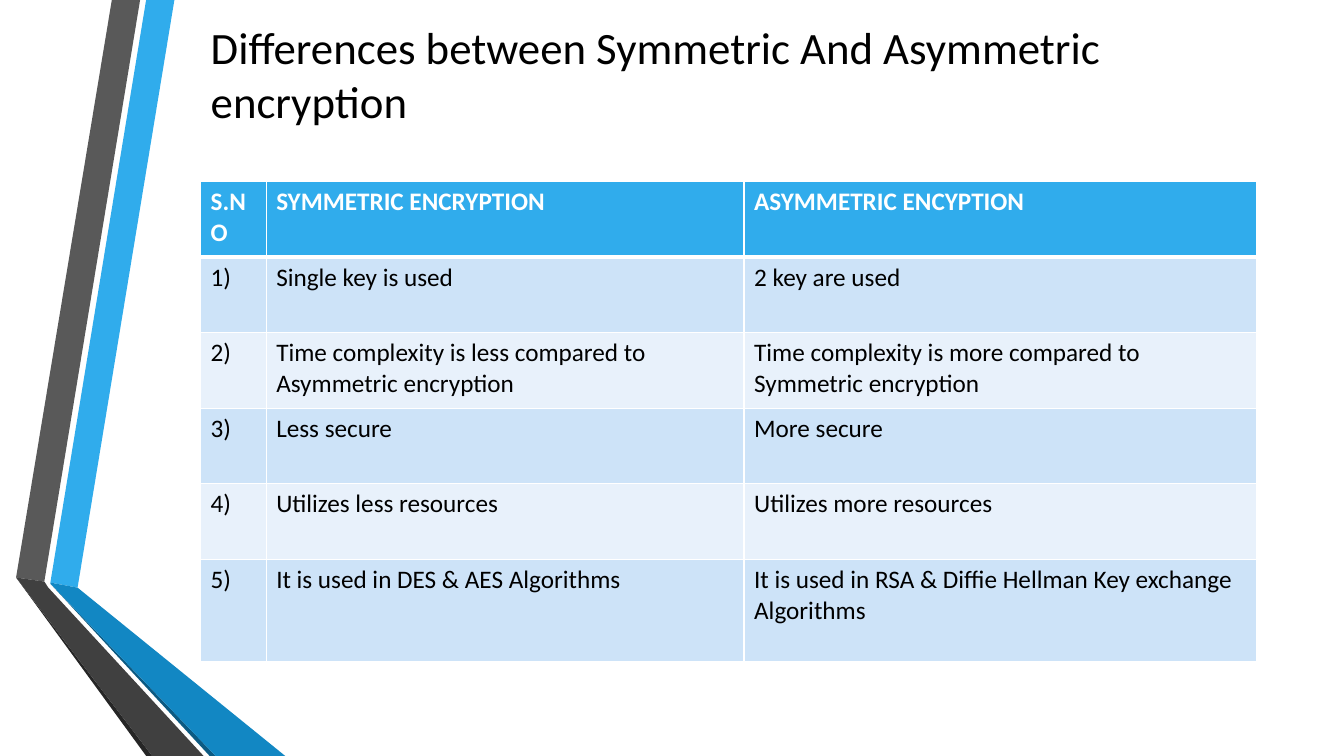
from typing import NamedTuple

from lxml import etree
from pptx import Presentation
from pptx.dml.color import RGBColor
from pptx.enum.text import MSO_ANCHOR, MSO_AUTO_SIZE, PP_ALIGN
from pptx.oxml.ns import qn
from pptx.util import Emu, Pt

TOP, LEFT = MSO_ANCHOR.TOP, PP_ALIGN.LEFT
FIT_SHAPE = MSO_AUTO_SIZE.SHAPE_TO_FIT_TEXT

EMU_PER_PX = 9144  # 100 px to the inch
FONT = "Calibri"
TITLE_ONLY = 5

BLACK = RGBColor(0x00, 0x00, 0x00)
WHITE = RGBColor(0xFF, 0xFF, 0xFF)
SKY = RGBColor(0x30, 0xAC, 0xEC)
BLUE = RGBColor(0x12, 0x87, 0xC3)
NAVY = RGBColor(0x0C, 0x5A, 0x82)
GREY = RGBColor(0x59, 0x59, 0x59)
CHARCOAL = RGBColor(0x40, 0x40, 0x40)
SOOT = RGBColor(0x26, 0x26, 0x26)
BAND_DARK = RGBColor(0xCD, 0xE3, 0xF8)
BAND_LIGHT = RGBColor(0xE8, 0xF1, 0xFB)


class Ribbon(NamedTuple):
    color: RGBColor
    corners: list[tuple[int, int]]


RIBBONS = [
    Ribbon(SKY, [(50, 578), (77, 583), (173, 0), (145, 0)]),
    Ribbon(GREY, [(139, 0), (111, 0), (16, 573), (44, 577)]),
    Ribbon(SOOT, [(16, 573), (145, 750), (151, 750)]),
    Ribbon(NAVY, [(50, 579), (208, 750), (214, 750)]),
    Ribbon(BLUE, [(50, 578), (50, 579), (214, 750), (283, 750), (77, 583)]),
    Ribbon(CHARCOAL, [(202, 750), (48, 583), (44, 577), (16, 573), (151, 750)]),
]

TITLE = "Differences between Symmetric And Asymmetric encryption"
HEADINGS = ("S.NO", "SYMMETRIC ENCRYPTION", "ASYMMETRIC ENCYPTION")
DIFFERENCES = [
    ("Single key is used", "2 key are used"),
    ("Time complexity is less compared to Asymmetric encryption",
     "Time complexity is more compared to Symmetric encryption"),
    ("Less secure", "More secure"),
    ("Utilizes less resources", "Utilizes more resources"),
    ("It is used in DES & AES Algorithms",
     "It is used in RSA & Diffie Hellman Key exchange Algorithms"),
]
COLUMN_WIDTHS = (65, 474, 508)
ROW_HEIGHTS = (75, 75, 75, 75, 75, 101)


def px(length: int) -> Emu:
    return Emu(length * EMU_PER_PX)


def add_run(paragraph, text: str, size: int, color: RGBColor, bold: bool = False) -> None:
    run = paragraph.add_run()
    run.text = text
    run.font.name = FONT
    run.font.size = Pt(size)
    run.font.bold = bold
    run.font.color.rgb = color


def draw_ribbon(shapes, ribbon: Ribbon) -> None:
    start, *others = ribbon.corners
    builder = shapes.build_freeform(*start, scale=EMU_PER_PX)
    builder.add_line_segments(others, close=True)
    outline = builder.convert_to_shape()
    outline.shadow.inherit = False
    outline.fill.solid()
    outline.fill.fore_color.rgb = ribbon.color
    outline.line.fill.background()


def set_borders(cell, bottom_width: int) -> None:
    properties = cell._tc.get_or_add_tcPr()
    for side, width in (("L", 1), ("R", 1), ("T", 1), ("B", bottom_width)):
        edge = etree.SubElement(properties, qn(f"a:ln{side}"), w=str(Pt(width)))
        fill = etree.SubElement(edge, qn("a:solidFill"))
        etree.SubElement(fill, qn("a:srgbClr"), val=str(WHITE))


def draw_title(slide) -> None:
    title = slide.shapes.title
    title.left, title.top, title.width, title.height = map(px, (199, 15, 993, 118))
    frame = title.text_frame
    frame.word_wrap = True
    frame.auto_size = FIT_SHAPE
    frame.vertical_anchor = TOP
    heading = frame.paragraphs[0]
    heading.alignment = LEFT
    add_run(heading, TITLE, 32, BLACK)


def draw_comparison(shapes) -> None:
    rows = [HEADINGS]
    rows += [(f"{number})", *pair) for number, pair in enumerate(DIFFERENCES, 1)]
    comparison = shapes.add_table(
        len(rows), len(HEADINGS), px(199), px(180),
        px(sum(COLUMN_WIDTHS)), px(sum(ROW_HEIGHTS))).table
    for column, width in zip(comparison.columns, COLUMN_WIDTHS):
        column.width = px(width)
    for index, (row, height) in enumerate(zip(comparison.rows, ROW_HEIGHTS)):
        row.height = px(height)
        is_header = index == 0
        band = SKY if is_header else BAND_DARK if index % 2 else BAND_LIGHT
        for cell, text in zip(row.cells, rows[index]):
            set_borders(cell, 3 if is_header else 1)
            cell.fill.solid()
            cell.fill.fore_color.rgb = band
            add_run(cell.text_frame.paragraphs[0], text, 18,
                    WHITE if is_header else BLACK, is_header)


def main() -> None:
    deck = Presentation()
    deck.slide_width, deck.slide_height = px(1333), px(750)
    slide = deck.slides.add_slide(deck.slide_layouts[TITLE_ONLY])

    # Folded ribbons along the left edge
    for ribbon in RIBBONS:
        draw_ribbon(slide.shapes, ribbon)

    # Title and comparison table
    draw_title(slide)
    draw_comparison(slide.shapes)

    deck.save("out.pptx")


if __name__ == "__main__":
    main()
